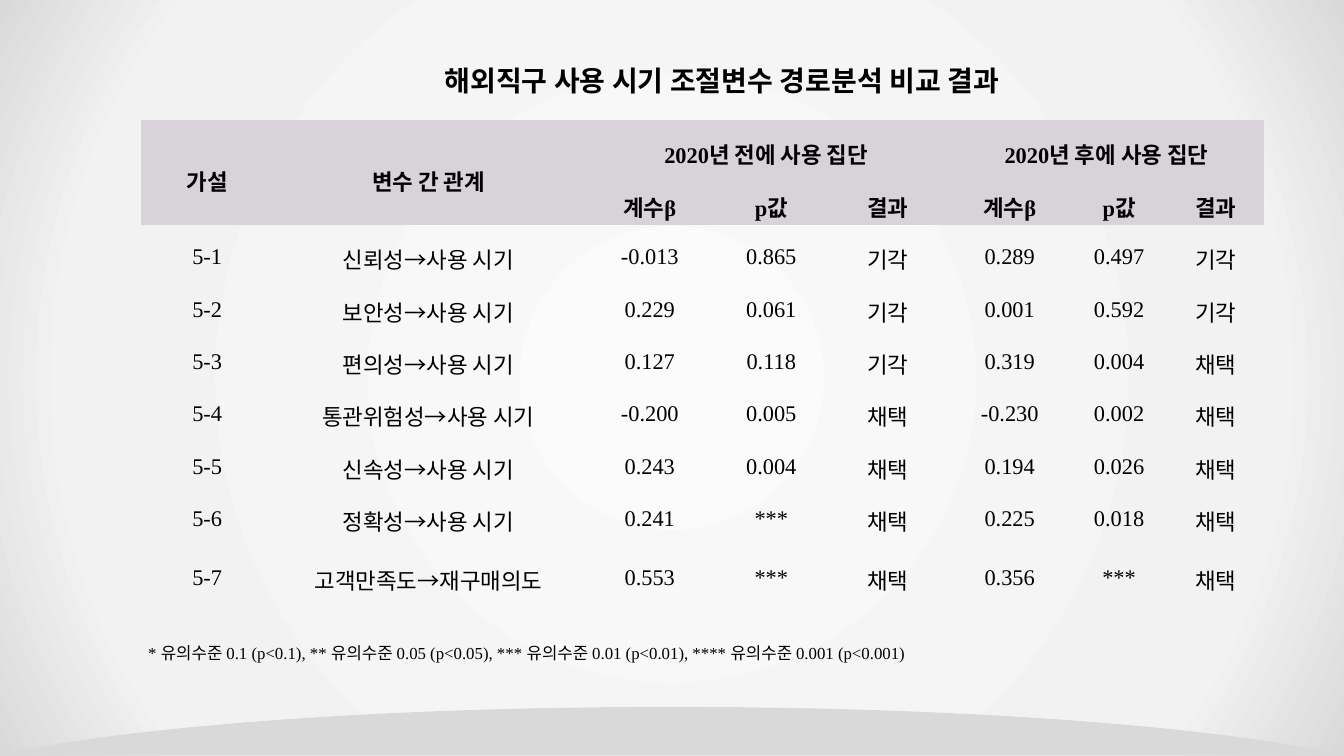
from dataclasses import dataclass

from lxml import etree
from pptx import Presentation
from pptx.dml.color import RGBColor
from pptx.enum.shapes import MSO_SHAPE
from pptx.enum.text import MSO_ANCHOR, MSO_AUTO_SIZE, PP_ALIGN
from pptx.oxml.ns import qn
from pptx.util import Inches, Pt

RECTANGLE = MSO_SHAPE.RECTANGLE
TOP, MIDDLE = MSO_ANCHOR.TOP, MSO_ANCHOR.MIDDLE
CENTER, JUSTIFY = PP_ALIGN.CENTER, PP_ALIGN.JUSTIFY
FIT_SHAPE = MSO_AUTO_SIZE.SHAPE_TO_FIT_TEXT

COLORS = {
    "text": "000000",
    "header": "D8D3D9",
    "center": "FBFBFB",
    "middle": "F2F2F2",
    "edge": "D9D9D9",
}
SERIF, SANS = "Times New Roman", "Noto Sans CJK KR"
NO_GRID_STYLE = "{2D5ABB26-0587-4C30-8999-92F81FD0307C}"
SLIDE_W, SLIDE_H = 13.33, 7.5


@dataclass
class TextStyle:
    size: float
    font: str = SERIF
    bold: bool = False
    align: PP_ALIGN = CENTER
    spacing: float = 1.5


TITLE = TextStyle(20, SANS, bold=True, spacing=1.8)
HEADER = TextStyle(16, bold=True)
BODY = TextStyle(16)
NOTE = TextStyle(12, align=JUSTIFY, spacing=1.4)

COLUMN_WIDTHS = [1.31, 3.08, 1.31, 1.1, 1.21, 1.21, 0.96, 0.96]
ROW_HEIGHTS = [0.43, 0.46] + [0.52] * 6 + [0.65, 0.84]
GROUPS = ["2020년 전에 사용 집단", "2020년 후에 사용 집단"]
MEASURES = ["계수β", "p값", "결과"]
RESULTS = [
    ("5-1", "신뢰성→사용 시기", "-0.013", "0.865", "기각", "0.289", "0.497", "기각"),
    ("5-2", "보안성→사용 시기", "0.229", "0.061", "기각", "0.001", "0.592", "기각"),
    ("5-3", "편의성→사용 시기", "0.127", "0.118", "기각", "0.319", "0.004", "채택"),
    ("5-4", "통관위험성→사용 시기", "-0.200", "0.005", "채택", "-0.230", "0.002", "채택"),
    ("5-5", "신속성→사용 시기", "0.243", "0.004", "채택", "0.194", "0.026", "채택"),
    ("5-6", "정확성→사용 시기", "0.241", "***", "채택", "0.225", "0.018", "채택"),
    ("5-7", "고객만족도→재구매의도", "0.553", "***", "채택", "0.356", "***", "채택"),
]
FOOTNOTE = ("* 유의수준 0.1 (p<0.1), ** 유의수준 0.05 (p<0.05), "
            "*** 유의수준 0.01 (p<0.01), **** 유의수준 0.001 (p<0.001)")


def rgb(name: str) -> RGBColor:
    return RGBColor.from_string(COLORS[name])


def write(tf, text: str, style: TextStyle) -> None:
    tf.text = text
    p = tf.paragraphs[0]
    p.alignment, p.line_spacing = style.align, style.spacing
    p.font.name, p.font.size, p.font.bold = style.font, Pt(style.size), style.bold
    p.font.color.rgb = rgb("text")


def add_backdrop(s) -> None:
    """Radial gradient over the whole slide."""
    sp = s.shapes.add_shape(RECTANGLE, 0, 0, Inches(SLIDE_W), Inches(SLIDE_H))
    sp.shadow.inherit = False
    sp.line.fill.background()
    sp.fill.gradient()
    grad = sp.element.spPr.find(qn("a:gradFill"))
    for child in list(grad):
        grad.remove(child)
    stops = etree.SubElement(grad, qn("a:gsLst"))
    for percent, name in [(0, "center"), (79, "middle"), (100, "edge")]:
        stop = etree.SubElement(stops, qn("a:gs"), pos=str(percent * 1000))
        etree.SubElement(stop, qn("a:srgbClr"), val=COLORS[name])
    radial = etree.SubElement(grad, qn("a:path"), {"path": "circle"})
    etree.SubElement(radial, qn("a:fillToRect"), l="50000", t="50000", r="50000", b="50000")


def add_ground(s, steps: int = 24) -> None:
    """Shallow arch along the bottom edge, mirrored about its middle."""
    middle, top, bottom = 6.66, 7.02, 7.49
    controls = [(0, top), (2.8, top), (5.25, 7.2), (6.6, 7.48)]
    right = []
    for i in range(steps + 1):
        t = i / steps
        weights = [(1 - t) ** 3, 3 * t * (1 - t) ** 2, 3 * t * t * (1 - t), t ** 3]
        right.append(tuple(sum(w * c[k] for w, c in zip(weights, controls)) for k in (0, 1)))
    right.append((6.67, bottom))
    outline = [(middle - x, y) for x, y in reversed(right)]
    outline += [(middle + x, y) for x, y in right[1:]]
    points = [(Inches(x), Inches(y)) for x, y in outline]
    builder = s.shapes.build_freeform(*points[0])
    builder.add_line_segments(points[1:], close=True)
    sp = builder.convert_to_shape()
    sp.shadow.inherit = False
    sp.fill.solid()
    sp.fill.fore_color.rgb = rgb("edge")
    sp.line.color.rgb = rgb("edge")
    sp.line.width = Pt(1)


def add_results(s) -> None:
    frame = s.shapes.add_table(len(ROW_HEIGHTS), len(COLUMN_WIDTHS), Inches(1.4), Inches(1.19),
                               Inches(sum(COLUMN_WIDTHS)), Inches(sum(ROW_HEIGHTS)))
    table = frame.table
    table.first_row = table.horz_banding = False
    frame.element.find(".//" + qn("a:tableStyleId")).text = NO_GRID_STYLE
    for column, width in zip(table.columns, COLUMN_WIDTHS):
        column.width = Inches(width)
    for row, height in zip(table.rows, ROW_HEIGHTS):
        row.height = Inches(height)

    # Merged areas: row labels, group headings and the footnote
    last_row, last_col = len(ROW_HEIGHTS) - 1, len(COLUMN_WIDTHS) - 1
    for start, end in [((0, 0), (1, 0)), ((0, 1), (1, 1)), ((0, 2), (0, 4)),
                       ((0, 5), (0, 7)), ((last_row, 0), (last_row, last_col))]:
        table.cell(*start).merge(table.cell(*end))

    rows = [("가설", "변수 간 관계", GROUPS[0], "", "", GROUPS[1], "", ""),
            ("", "", *MEASURES, *MEASURES), *RESULTS, (FOOTNOTE,) + ("",) * last_col]
    for i, texts in enumerate(rows):
        style = HEADER if i < 2 else NOTE if i == last_row else BODY
        for j, text in enumerate(texts):
            cell = table.cell(i, j)
            if style is HEADER:
                cell.fill.solid()
                cell.fill.fore_color.rgb = rgb("header")
            else:
                cell.fill.background()
            cell.vertical_anchor = MIDDLE
            cell.margin_left = cell.margin_right = Inches(0.07)
            cell.margin_top = cell.margin_bottom = Inches(0.02)
            if text:
                write(cell.text_frame, text, style)


def place_title(s) -> None:
    title = s.shapes.title
    title.left, title.top = Inches(3.96), Inches(0.31)
    title.width, title.height = Inches(6.4), Inches(0.62)
    tf = title.text_frame
    write(tf, "해외직구 사용 시기 조절변수 경로분석 비교 결과", TITLE)
    tf.word_wrap, tf.auto_size, tf.vertical_anchor = False, FIT_SHAPE, TOP
    # Bring the title in front of the backdrop
    title.element.getparent().append(title.element)


def main() -> None:
    prs = Presentation()
    prs.slide_width, prs.slide_height = Inches(SLIDE_W), Inches(SLIDE_H)
    s = prs.slides.add_slide(prs.slide_layouts[5])
    add_backdrop(s)
    add_ground(s)
    add_results(s)
    place_title(s)
    prs.save("out.pptx")


if __name__ == "__main__":
    main()
